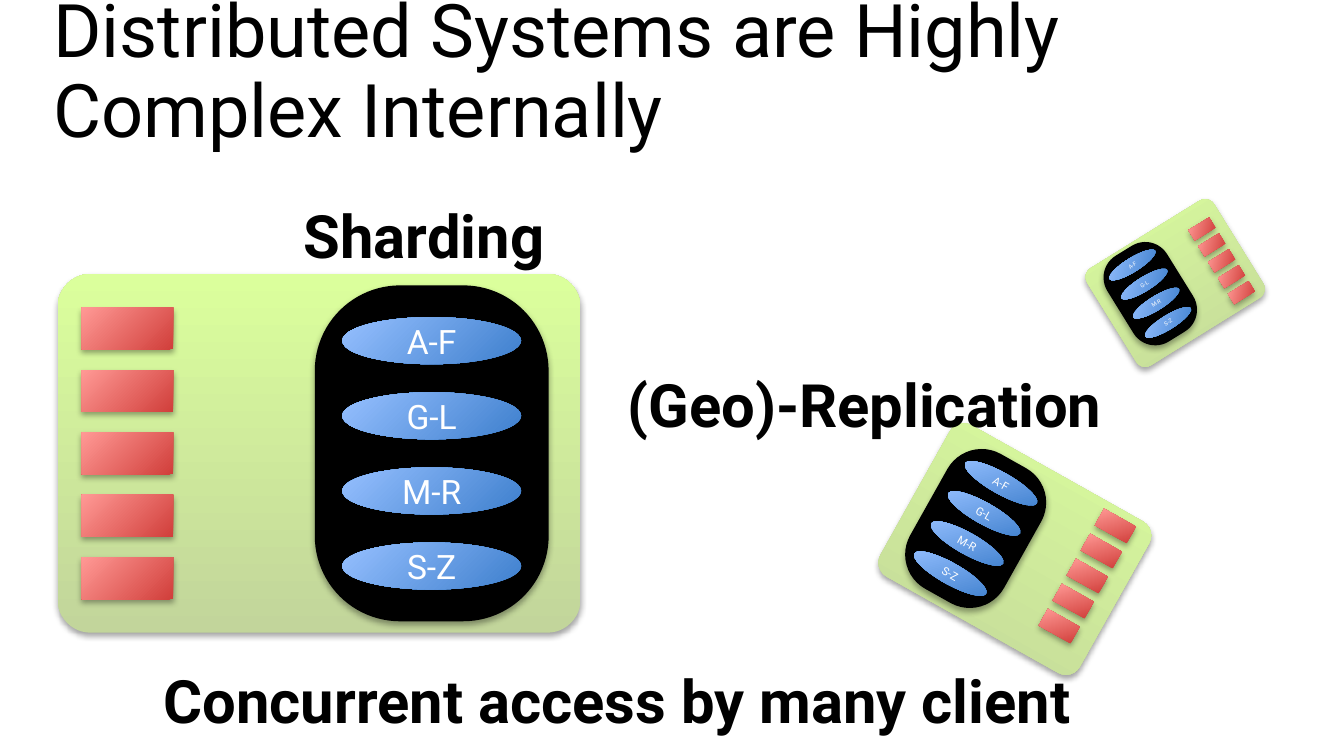
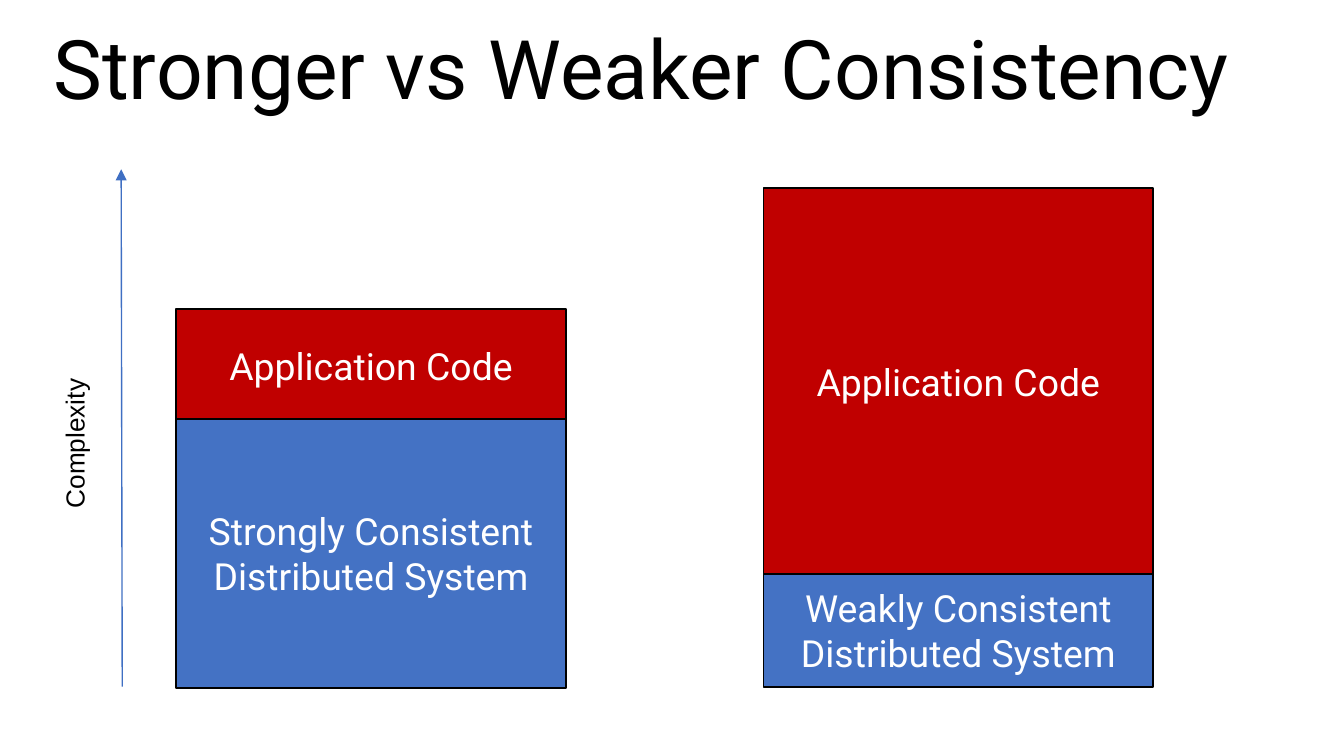
from dataclasses import dataclass
from math import cos, radians, sin
from typing import Optional

from pptx import Presentation
from pptx import util as u
from pptx.dml.color import RGBColor
from pptx.enum import shapes, text
from pptx.oxml import parse_xml
from pptx.oxml.ns import nsdecls, qn

# Shared style
FONT = "Roboto"
BLACK = RGBColor(0x00, 0x00, 0x00)
WHITE = RGBColor(0xFF, 0xFF, 0xFF)
RED = RGBColor(0xC0, 0x00, 0x00)
BLUE = RGBColor(0x44, 0x72, 0xC4)
ARROW_BLUE = RGBColor(0x3F, 0x6F, 0xC3)


@dataclass(frozen=True)
class Gradient:
    start: RGBColor
    end: RGBColor
    angle: int


GREEN_FADE = Gradient(RGBColor(0xC2, 0xD5, 0x9B), RGBColor(0xDB, 0xFF, 0x9C), 90)
BLUE_FADE = Gradient(RGBColor(0x3E, 0x7F, 0xCD), RGBColor(0x96, 0xC0, 0xFF), 135)
RED_FADE = Gradient(RGBColor(0xD1, 0x3F, 0x3B), RGBColor(0xFF, 0x99, 0x95), 135)

# Full-size rack of shards, in centimetres
SHARDS = ("A-F", "G-L", "M-R", "S-Z")
RACK_SIZE = (4.42, 6.35)
SHARD_SIZE = (3.38, 0.89)
SHARD_PITCH = 1.42
CLIENT_COUNT = 5
CLIENT_PITCH = 1.18


@dataclass(frozen=True)
class Cluster:
    """One data centre: centres and sizes in centimetres."""
    panel_center: tuple[float, float]
    panel_size: tuple[float, float]
    rack_center: tuple[float, float]
    clients_center: tuple[float, float]
    client_size: tuple[float, float]
    scale: float
    rotation: float
    font_size: float


@dataclass(frozen=True)
class Label:
    words: str
    left: float
    top: float
    width: float


@dataclass(frozen=True)
class Block:
    words: str
    left: float
    top: float
    height: float
    color: RGBColor


CLUSTERS = (
    Cluster((6.03, 8.57), (9.88, 6.78), (8.16, 8.57), (2.41, 8.57),
            (1.73, 0.79), 1, 0, 18),
    Cluster((19.18, 10.38), (4.32, 3.28), (18.44, 9.99), (20.55, 10.89),
            (0.69, 0.36), 0.46, 29.3, 6),
    Cluster((22.21, 5.35), (2.82, 2.16), (21.74, 5.55), (23.09, 4.93),
            (0.46, 0.23), 0.3, 328.2, 3),
)
LABELS = (
    Label("Sharding", 5.49, 3.63, 5.36),
    Label("(Geo)-Replication", 11.61, 6.83, 10.01),
    Label("Concurrent access by many client", 2.84, 12.42, 18.97),
)
BLOCK_WIDTH = 7.37
BLOCKS = (
    Block("Application Code", 3.33, 5.84, 2.13, RED),
    Block("Application Code", 14.43, 3.56, 7.32, RED),
    Block("Strongly Consistent\nDistributed System", 3.33, 7.92, 5.08, BLUE),
    Block("Weakly Consistent\nDistributed System", 14.43, 10.85, 2.13, BLUE),
)


def write(shape, words: str, size: float, color: RGBColor = BLACK,
          bold: bool = False, centered: bool = False, wrap: bool = True,
          font: str = FONT):
    frame = shape.text_frame
    frame.word_wrap = wrap
    paragraph = frame.paragraphs[0]
    paragraph.text = words
    paragraph.font.name = font
    paragraph.font.size = u.Pt(size)
    paragraph.font.bold = bold
    paragraph.font.color.rgb = color
    if centered:
        paragraph.alignment = text.PP_ALIGN.CENTER
        frame.vertical_anchor = text.MSO_ANCHOR.MIDDLE
    return paragraph


def add_text_box(slide, left: float, top: float, width: float, height: float):
    return slide.shapes.add_textbox(u.Cm(left), u.Cm(top), u.Cm(width), u.Cm(height))


def add_title(slide, words: str, size: float, width: float) -> None:
    box = add_text_box(slide, 0.76, 0, width, 2.77)
    box.text_frame.vertical_anchor = text.MSO_ANCHOR.MIDDLE
    write(box, words, size).line_spacing = 0.9


def add_soft_shape(slide, kind, center: tuple[float, float],
                   size: tuple[float, float], rotation: float,
                   gradient: Optional[Gradient] = None,
                   corner: Optional[float] = None):
    """Add a shape by its centre, with a small shadow below it."""
    (x, y), (width, height) = center, size
    shape = slide.shapes.add_shape(kind, u.Cm(x - width / 2), u.Cm(y - height / 2),
                                   u.Cm(width), u.Cm(height))
    shape.rotation = rotation
    shape.line.fill.background()
    if corner is not None:
        shape.adjustments[0] = corner
    if gradient:
        shape.fill.gradient()
        shape.fill.gradient_angle = gradient.angle
        for stop, color in zip(shape.fill.gradient_stops,
                               (gradient.start, gradient.end)):
            stop.color.rgb = color
    else:
        shape.fill.solid()
        shape.fill.fore_color.rgb = BLACK
    shape.shadow.inherit = False
    shape._element.spPr.find(qn("a:effectLst")).append(parse_xml(
        f'<a:outerShdw {nsdecls("a")} blurRad="40000" dist="23000" dir="5400000" '
        'rotWithShape="0"><a:srgbClr val="000000"><a:alpha val="35000"/>'
        '</a:srgbClr></a:outerShdw>'))
    return shape


def column(center: tuple[float, float], count: int, pitch: float,
           rotation: float) -> list[tuple[float, float]]:
    """Centres of a column of equal steps, turned about its middle."""
    angle = radians(rotation)
    steps = [(index - (count - 1) / 2) * pitch for index in range(count)]
    return [(center[0] - step * sin(angle), center[1] + step * cos(angle))
            for step in steps]


def add_cluster(slide, cluster: Cluster) -> None:
    kinds, scale, rotation = shapes.MSO_SHAPE, cluster.scale, cluster.rotation

    def scaled(size: tuple[float, float]) -> tuple[float, float]:
        return size[0] * scale, size[1] * scale

    add_soft_shape(slide, kinds.ROUNDED_RECTANGLE, cluster.panel_center,
                   cluster.panel_size, rotation, GREEN_FADE, 0.092)
    add_soft_shape(slide, kinds.ROUNDED_RECTANGLE, cluster.rack_center,
                   scaled(RACK_SIZE), rotation, corner=0.365)
    centers = column(cluster.rack_center, len(SHARDS), SHARD_PITCH * scale, rotation)
    for words, center in zip(SHARDS, centers):
        shard = add_soft_shape(slide, kinds.OVAL, center, scaled(SHARD_SIZE),
                               rotation, BLUE_FADE)
        write(shard, words, cluster.font_size, WHITE, centered=True, wrap=False)
    for center in column(cluster.clients_center, CLIENT_COUNT,
                         CLIENT_PITCH * scale, rotation):
        add_soft_shape(slide, kinds.RECTANGLE, center, cluster.client_size,
                       rotation, RED_FADE)


def add_block(slide, block: Block) -> None:
    shape = slide.shapes.add_shape(shapes.MSO_SHAPE.RECTANGLE, u.Cm(block.left),
                                   u.Cm(block.top), u.Cm(BLOCK_WIDTH),
                                   u.Cm(block.height))
    shape.shadow.inherit = False
    shape.fill.solid()
    shape.fill.fore_color.rgb = block.color
    shape.line.color.rgb = BLACK
    shape.line.width = u.Pt(1)
    write(shape, block.words, 20, WHITE, centered=True)


def add_complexity_axis(slide) -> None:
    arrow = slide.shapes.add_connector(shapes.MSO_CONNECTOR.STRAIGHT, u.Cm(2.31),
                                       u.Cm(12.98), u.Cm(2.29), u.Cm(3.2))
    arrow.line.color.rgb = ARROW_BLUE
    arrow.line.width = u.Pt(0.75)
    arrow.line._get_or_add_ln().append(
        parse_xml(f'<a:tailEnd {nsdecls("a")} type="triangle"/>'))
    arrow._element.spPr.append(parse_xml(f'<a:effectLst {nsdecls("a")}/>'))
    caption = add_text_box(slide, -0.1, 7.92, 3.02, 0.86)
    caption.rotation = 270
    write(caption, "Complexity", 14, wrap=False, font="Arial")


def main() -> None:
    presentation = Presentation()
    presentation.slide_width = u.Cm(25.4)
    presentation.slide_height = u.Cm(14.29)
    blank = presentation.slide_layouts[6]

    # Inside a distributed system
    slide = presentation.slides.add_slide(blank)
    add_title(slide, "Distributed Systems are Highly Complex Internally", 39.6, 23.88)
    for cluster in CLUSTERS:
        add_cluster(slide, cluster)
    for label in LABELS:
        box = add_text_box(slide, label.left, label.top, label.width, 1.63)
        write(box, label.words, 32, bold=True)

    # Where the complexity goes
    slide = presentation.slides.add_slide(blank)
    add_title(slide, "Stronger vs Weaker Consistency", 44, 24.64)
    for block in BLOCKS:
        add_block(slide, block)
    add_complexity_axis(slide)

    presentation.save("out.pptx")


if __name__ == "__main__":
    main()
